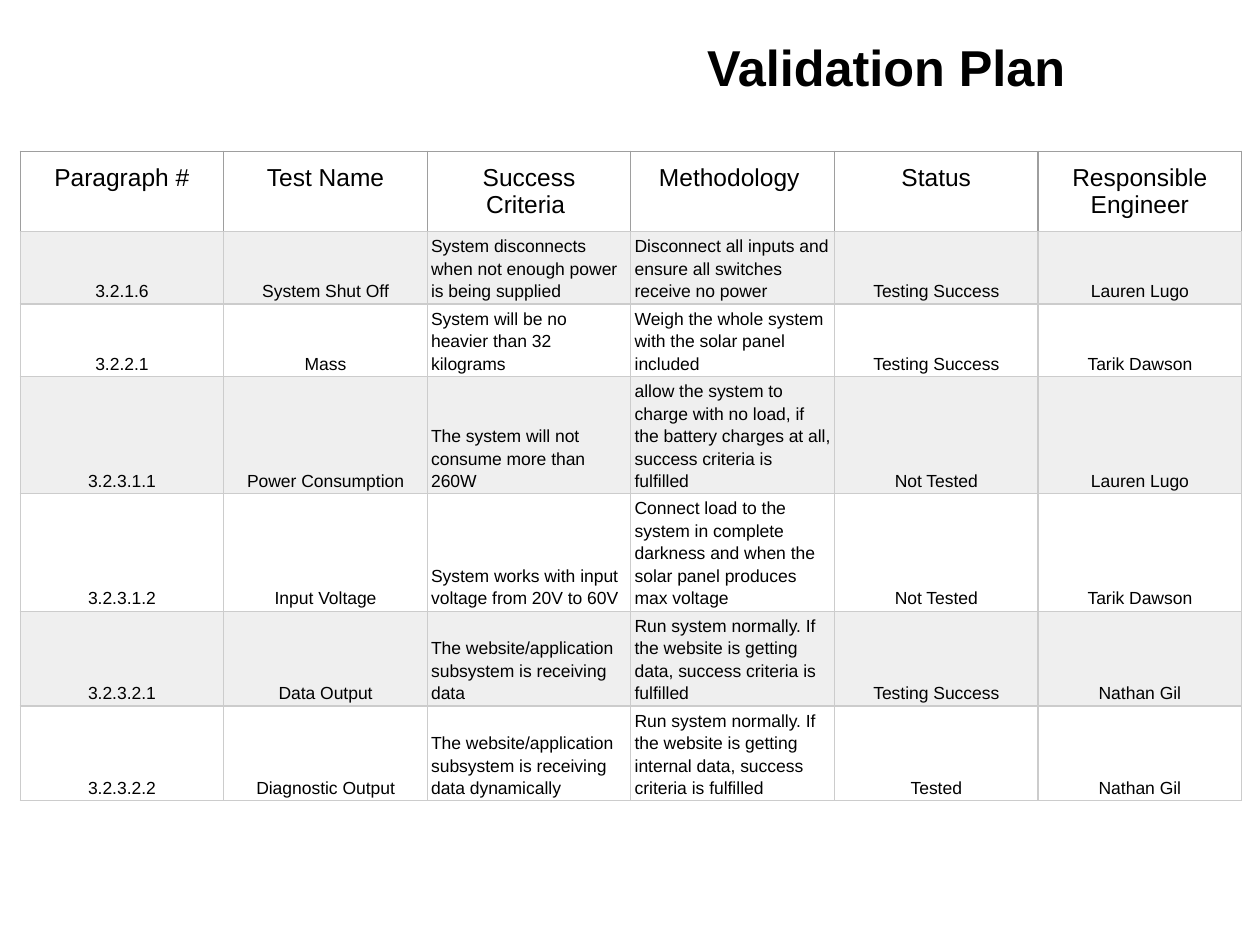
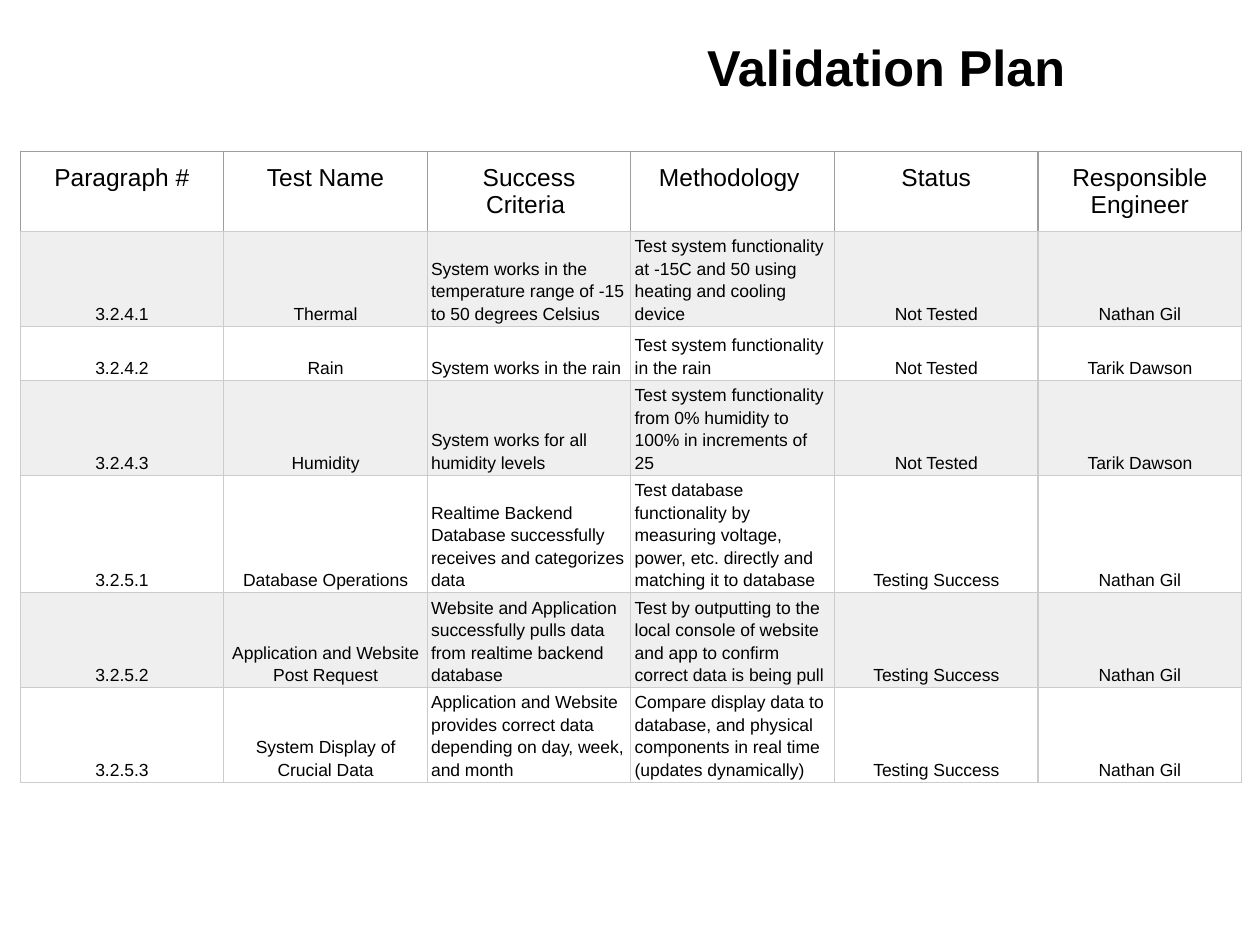
from dataclasses import dataclass

from lxml.etree import SubElement
from pptx import Presentation
from pptx.dml.color import RGBColor
from pptx.enum.text import MSO_ANCHOR, MSO_AUTO_SIZE, PP_ALIGN
from pptx.oxml.ns import qn
from pptx.util import Inches, Pt


@dataclass(frozen=True)
class Theme:
    font: str = "Arial"
    ink: str = "000000"
    paper: str = "FFFFFF"
    band: str = "EFEFEF"
    body_line: str = "CCCCCC"
    header_line: str = "9E9E9E"
    line_width: float = 0.75
    title_size: float = 28.8
    header_size: float = 14
    body_size: float = 10


TITLE = "Validation Plan"
HEADERS = ["Paragraph #", "Test Name", "Success Criteria ", "Methodology ", "Status", "Responsible Engineer"]
PROSE_COLUMNS = (2, 3)

FUNCTIONAL_TESTS = [
    ["3.2.1.6", "System Shut Off", "System disconnects when not enough power is being supplied",
     "Disconnect all inputs and ensure all switches receive no power", "Testing Success", "Lauren Lugo"],
    ["3.2.2.1", "Mass", "System will be no heavier than 32 kilograms",
     "Weigh the whole system with the solar panel included", "Testing Success", "Tarik Dawson"],
    ["3.2.3.1.1", "Power Consumption", "The system will not consume more than 260W",
     "allow the system to charge with no load, if the battery charges at all, success criteria is fulfilled",
     "Not Tested", "Lauren Lugo"],
    ["3.2.3.1.2", "Input Voltage", "System works with input voltage from 20V to 60V",
     "Connect load to the system in complete darkness and when the solar panel produces max voltage",
     "Not Tested", "Tarik Dawson"],
    ["3.2.3.2.1", "Data Output", "The website/application subsystem is receiving data",
     "Run system normally. If the website is getting data, success criteria is fulfilled",
     "Testing Success", "Nathan Gil"],
    ["3.2.3.2.2", "Diagnostic Output", "The website/application subsystem is receiving data dynamically",
     "Run system normally. If the website is getting internal data, success criteria is fulfilled",
     "Tested", "Nathan Gil"],
]

ENVIRONMENT_AND_DATA_TESTS = [
    ["3.2.4.1", "Thermal", "System works in the temperature range of -15 to 50 degrees Celsius",
     "Test system functionality at -15C and 50 using heating and cooling device", "Not Tested", "Nathan Gil"],
    ["3.2.4.2", "Rain", "System works in the rain",
     "Test system functionality in the rain", "Not Tested", "Tarik Dawson"],
    ["3.2.4.3", "Humidity", "System works for all humidity levels",
     "Test system functionality from 0% humidity to 100% in increments of 25", "Not Tested", "Tarik Dawson"],
    ["3.2.5.1", "Database Operations", "Realtime Backend Database successfully receives and categorizes data",
     "Test database functionality by measuring voltage, power, etc. directly and matching it to database",
     "Testing Success", "Nathan Gil"],
    ["3.2.5.2", "Application and Website Post Request",
     "Website and Application successfully pulls data from realtime backend database",
     "Test by outputting to the local console of website and app to confirm correct data is being pull",
     "Testing Success", "Nathan Gil"],
    ["3.2.5.3", "System Display of Crucial Data",
     "Application and Website provides correct data depending on day, week, and month",
     "Compare display data to database, and physical components in real time (updates dynamically)",
     "Testing Success", "Nathan Gil"],
]


def apply(target, values):
    for name, value in values.items():
        setattr(target, name, value)


class PlanDeck:
    GRID_COLUMNS, GRID_ROWS = 100, 75
    TABLE_LEFT, TABLE_TOP = 1.6, 12
    CELL_WIDTH, CELL_HEIGHT = 16.16, 4.3

    def __init__(self, theme):
        self.theme = theme
        self.deck = Presentation()
        apply(self.deck, {"slide_width": Inches(10), "slide_height": Inches(7.5)})
        self.page = None

    def across(self, columns):
        return round(self.deck.slide_width * columns / self.GRID_COLUMNS)

    def down(self, rows):
        return round(self.deck.slide_height * rows / self.GRID_ROWS)

    def add_text(self, frame, text, size, align, bold=False, spacing=1.0):
        para = frame.paragraphs[0]
        apply(para, {"alignment": align, "line_spacing": spacing})
        span = para.add_run()
        span.text = text
        apply(span.font, {"name": self.theme.font, "size": Pt(size), "bold": bold})
        span.font.color.rgb = RGBColor.from_string(self.theme.ink)

    def add_page(self, title):
        self.page = self.deck.slides.add_slide(self.deck.slide_layouts[5])
        box = self.page.shapes.title
        apply(box, {"left": self.across(35.8), "top": self.down(2.6),
                    "width": self.across(69.1), "height": self.down(5.4)})
        apply(box.text_frame, {"word_wrap": True, "auto_size": MSO_AUTO_SIZE.NONE,
                               "vertical_anchor": MSO_ANCHOR.MIDDLE})
        self.add_text(box.text_frame, title, self.theme.title_size, PP_ALIGN.CENTER, bold=True)

    def add_borders(self, cell, side_color):
        properties = cell._tc.get_or_add_tcPr()
        colors = {"L": side_color, "R": side_color, "T": side_color, "B": self.theme.body_line}
        for side, color in colors.items():
            line = SubElement(properties, qn(f"a:ln{side}"), w=str(Pt(self.theme.line_width)))
            SubElement(SubElement(line, qn("a:solidFill")), qn("a:srgbClr"), val=color)

    def format_cell(self, cell, anchor, horizontal, vertical):
        apply(cell, {"vertical_anchor": anchor,
                     "margin_left": Inches(horizontal), "margin_right": Inches(horizontal),
                     "margin_top": Inches(vertical), "margin_bottom": Inches(vertical)})

    def add_header_cell(self, cell, text):
        self.format_cell(cell, MSO_ANCHOR.TOP, 0.1, 0.1)
        self.add_borders(cell, self.theme.header_line)
        cell.fill.background()
        self.add_text(cell.text_frame, text, self.theme.header_size, PP_ALIGN.CENTER)

    def add_body_cell(self, cell, text, fill, align):
        self.format_cell(cell, MSO_ANCHOR.BOTTOM, 0.03, 0.02)
        self.add_borders(cell, self.theme.body_line)
        cell.fill.solid()
        cell.fill.fore_color.rgb = RGBColor.from_string(fill)
        self.add_text(cell.text_frame, text, self.theme.body_size, align, spacing=1.15)

    def add_test_table(self, tests):
        row_count, column_count = len(tests) + 1, len(HEADERS)
        table = self.page.shapes.add_table(
            row_count, column_count, self.across(self.TABLE_LEFT), self.down(self.TABLE_TOP),
            self.across(self.CELL_WIDTH * column_count), self.down(self.CELL_HEIGHT * row_count)).table
        apply(table, {"first_row": False, "horz_banding": False})
        for column, header in enumerate(HEADERS):
            self.add_header_cell(table.cell(0, column), header)
        for row, test in enumerate(tests, start=1):
            fill = self.theme.band if row % 2 else self.theme.paper
            for column, text in enumerate(test):
                align = PP_ALIGN.LEFT if column in PROSE_COLUMNS else PP_ALIGN.CENTER
                self.add_body_cell(table.cell(row, column), text, fill, align)


def main():
    plan = PlanDeck(Theme())
    for tests in (FUNCTIONAL_TESTS, ENVIRONMENT_AND_DATA_TESTS):
        plan.add_page(TITLE)
        plan.add_test_table(tests)
    plan.deck.save("out.pptx")


if __name__ == "__main__":
    main()
